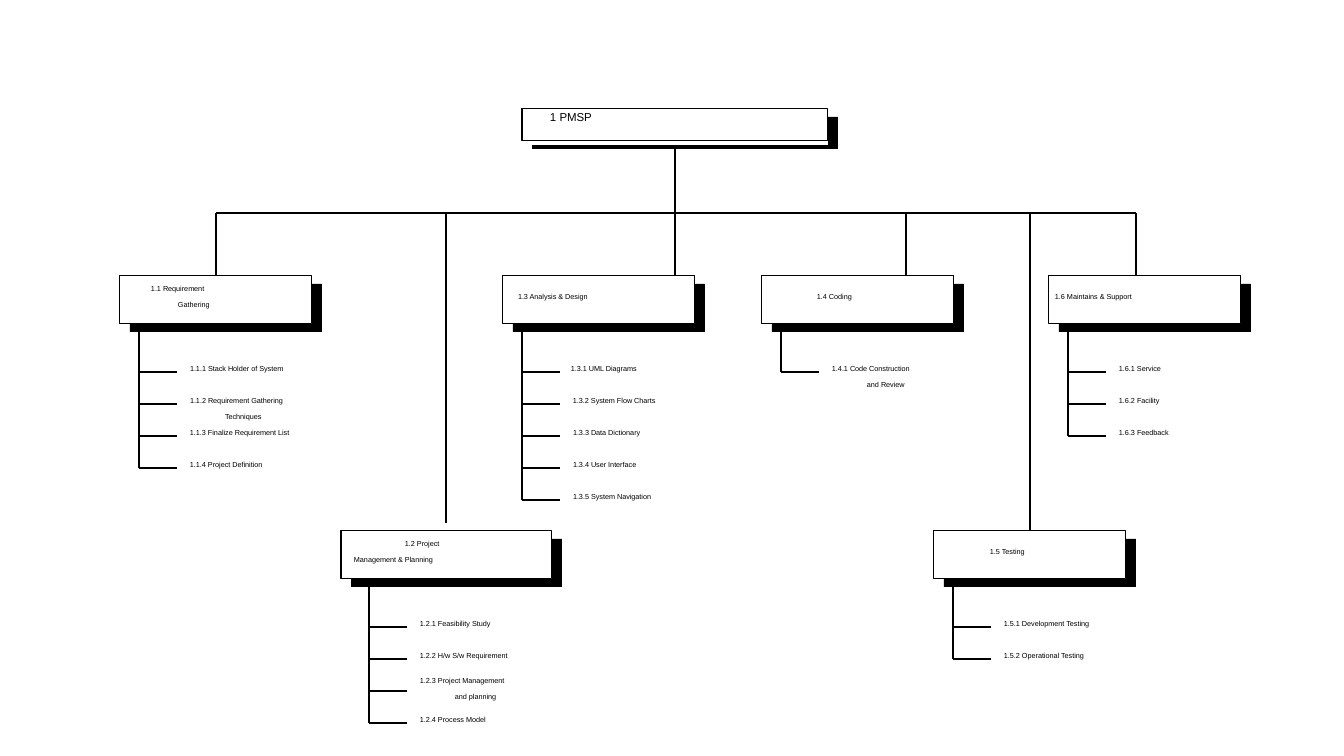
from dataclasses import dataclass

from lxml.etree import SubElement
from pptx import Presentation
from pptx.dml.color import RGBColor
from pptx.enum.shapes import MSO_CONNECTOR, MSO_SHAPE
from pptx.oxml.ns import qn
from pptx.util import Emu, Pt


@dataclass(frozen=True)
class Theme:
    ink: RGBColor = RGBColor(0, 0, 0)
    paper: RGBColor = RGBColor(255, 255, 255)
    font: str = "Arial"
    large: float = 8.2
    small: float = 5.2
    hair: float = 0


@dataclass(frozen=True)
class Item:
    text: str
    tail: str = ""
    dx: int = 0
    dy: int = 0


@dataclass(frozen=True)
class Branch:
    left: int
    top: int
    drop: int
    title: tuple
    items: tuple
    width: int = 192
    stem: int = 19
    gap: int = 0


THEME = Theme()
BUS = 213
UPPER, LOWER = 276, 531
TALL = 48
STEP = 32
LINE = 16

BRANCHES = (
    Branch(120, UPPER, 216, ((31, 8, "1.1 Requirement"), (58, 24, "Gathering")), (
        Item("1.1.1 Stack Holder of System"),
        Item("1.1.2 Requirement Gathering", "Techniques"),
        Item("1.1.3 Finalize Requirement List"),
        Item("1.1.4 Project Definition"))),
    Branch(341, LOWER, 446, ((64, 8, "1.2 Project"), (13, 24, "Management & Planning")), (
        Item("1.2.1 Feasibility Study"),
        Item("1.2.2 H/w S/w Requirement"),
        Item("1.2.3 Project Management", "and planning", dy=-7),
        Item("1.2.4 Process Model")), width=211, stem=28, gap=8),
    Branch(503, UPPER, 675, ((15, 16, "1.3 Analysis & Design"),), (
        Item("1.3.1 UML Diagrams", dx=-2),
        Item("1.3.2 System Flow Charts"),
        Item("1.3.3 Data Dictionary"),
        Item("1.3.4 User Interface"),
        Item("1.3.5 System Navigation"))),
    Branch(762, UPPER, 906, ((55, 16, "1.4 Coding"),), (
        Item("1.4.1 Code Construction", "and Review"),)),
    Branch(934, LOWER, 1030, ((56, 16, "1.5 Testing"),), (
        Item("1.5.1 Development Testing"),
        Item("1.5.2 Operational Testing"))),
    Branch(1049, UPPER, 1136, ((6, 16, "1.6 Maintains & Support"),), (
        Item("1.6.1 Service"),
        Item("1.6.2 Facility"),
        Item("1.6.3 Feedback"))),
)


def px(count):
    return Emu(round(count * 914400 / 100.8))


def add_box(slide, left, top, width, height, fill=None, edge=False):
    box = slide.shapes.add_shape(
        MSO_SHAPE.RECTANGLE, px(left), px(top), px(width), px(height))
    box.shadow.inherit = False
    if fill is None:
        box.fill.background()
    else:
        box.fill.solid()
        box.fill.fore_color.rgb = fill
    if edge:
        box.line.color.rgb = THEME.ink
        box.line.width = Pt(THEME.hair)
    else:
        box.line.fill.background()
    return box


def add_line(slide, x1, y1, x2, y2):
    line = slide.shapes.add_connector(
        MSO_CONNECTOR.STRAIGHT, px(x1), px(y1), px(x2), px(y2))
    line.line.color.rgb = THEME.ink
    line.line.width = Pt(THEME.hair)
    SubElement(line._element.spPr, qn("a:effectLst"))
    return line


def add_text(slide, left, top, text, size=THEME.small, width=None, height=18):
    width = width or round(len(text) * 5.4)
    frame = slide.shapes.add_textbox(
        px(left), px(top), px(width), px(height)).text_frame
    frame.margin_left = frame.margin_right = 0
    frame.margin_top = frame.margin_bottom = 0
    frame.word_wrap = True
    para = frame.paragraphs[0]
    para.text = text
    para.line_spacing = 1.07
    para.space_after = Pt(6)
    para.font.size = Pt(size)
    para.font.name = THEME.font
    para.font.color.rgb = THEME.ink


def add_root(slide):
    add_box(slide, 532, 117, 306, 32, THEME.ink)
    add_line(slide, 675, 148, 675, BUS)
    add_box(slide, 522, 113, 306, 32, THEME.paper)
    add_box(slide, 522, 109, 306, 32, edge=True)
    add_text(slide, 550, 109, "1 PMSP", THEME.large, 231, 40)


def add_items(slide, branch):
    stem = branch.left + branch.stem
    first = branch.top + 96
    last = first + STEP * (len(branch.items) - 1)
    add_line(slide, stem, branch.top + 56, stem, last)
    for row, item in enumerate(branch.items):
        tick = first + row * STEP
        add_line(slide, stem, tick, stem + 38, tick)
        left, top = stem + 51 + item.dx, tick - 8 + item.dy
        add_text(slide, left, top, item.text)
        if item.tail:
            add_text(slide, left + 35, top + LINE, item.tail)


def add_branch(slide, branch):
    left, top, width = branch.left, branch.top, branch.width
    add_box(slide, left + 10, top + 8, width, TALL, THEME.ink)
    box = add_box(slide, left, top, width, TALL, THEME.paper, True)
    drop = add_line(slide, branch.drop, BUS, branch.drop, top - branch.gap)
    if branch.drop == left + width / 2 and not branch.gap:
        drop.end_connect(box, 0)
    for dx, dy, text in branch.title:
        add_text(slide, left + dx, top + dy, text)
    add_items(slide, branch)


def main():
    deck = Presentation()
    deck.slide_width, deck.slide_height = px(1344), px(756)
    slide = deck.slides.add_slide(deck.slide_layouts[6])
    add_root(slide)
    add_line(slide, BRANCHES[0].drop, BUS, BRANCHES[-1].drop, BUS)
    for branch in BRANCHES:
        add_branch(slide, branch)
    deck.save("out.pptx")


if __name__ == "__main__":
    main()
